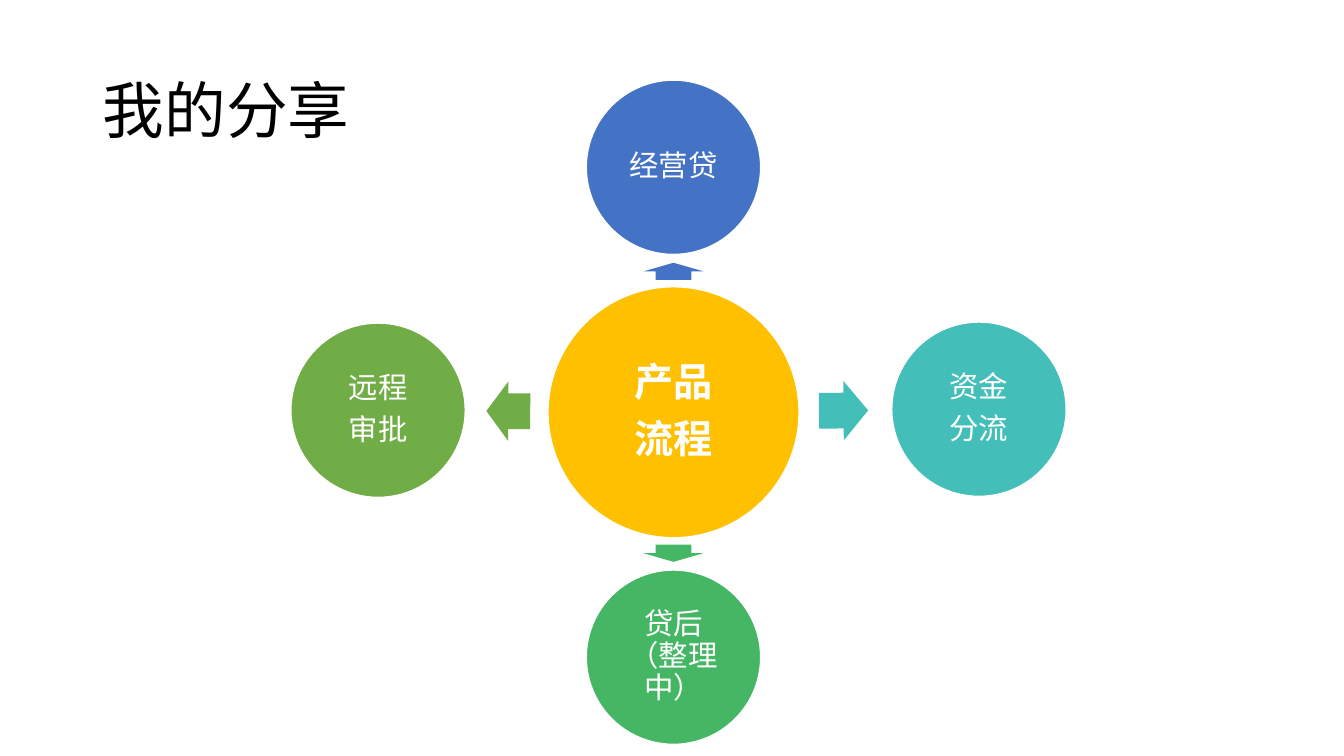
from dataclasses import dataclass
from math import atan2, cos, degrees, hypot, sin

from lxml.etree import SubElement
from pptx import Presentation
from pptx.dml.color import RGBColor
from pptx.enum.shapes import MSO_SHAPE
from pptx.enum.text import MSO_ANCHOR, MSO_AUTO_SIZE, PP_ALIGN
from pptx.oxml.ns import qn
from pptx.util import Inches, Pt


@dataclass(frozen=True)
class Theme:
    """Fonts, colours and type sizes of the slide."""
    font: str = "Noto Sans CJK SC"
    ink: str = "000000"
    paper: str = "FFFFFF"
    hub: str = "FFC000"
    up: str = "4472C4"
    right: str = "43BEB9"
    down: str = "45B664"
    left: str = "70AD47"
    title_size: int = 44
    hub_size: int = 28
    node_size: int = 21


class Deck:
    """Holds the theme and the current slide, and draws its elements."""

    def __init__(self, slide, theme):
        """Keep the slide and the theme."""
        self.slide, self.theme = slide, theme

    def apply(self, obj, values):
        """Set attributes from a dict of format values."""
        for name, value in values.items():
            setattr(obj, name, value)

    def fill_text(self, tf, lines, size, color, align, bold=False, inset=0.03, after=0):
        """Add one formatted paragraph for each line."""
        margins = dict.fromkeys(
            ("margin_left", "margin_right", "margin_top", "margin_bottom"), Inches(inset))
        self.apply(tf, {"word_wrap": True, "auto_size": MSO_AUTO_SIZE.NONE,
                        "vertical_anchor": MSO_ANCHOR.MIDDLE, **margins})
        for i, line in enumerate(lines):
            p = tf.paragraphs[0] if i == 0 else tf.add_paragraph()
            self.apply(p, {"alignment": align, "line_spacing": 0.9,
                           "space_before": Pt(0), "space_after": Pt(after)})
            r = p.add_run()
            r.text = line
            self.apply(r.font, {"name": self.theme.font, "size": Pt(size), "bold": bold})
            r.font.color.rgb = RGBColor.from_string(color)
            SubElement(r.font._element, qn("a:ea")).set("typeface", self.theme.font)

    def title(self, text, x, y, w, h):
        """Place and fill the title placeholder."""
        sp = self.slide.shapes.title
        self.apply(sp, {"left": Inches(x), "top": Inches(y),
                        "width": Inches(w), "height": Inches(h)})
        self.fill_text(sp.text_frame, [text], self.theme.title_size, self.theme.ink,
                       PP_ALIGN.LEFT, inset=0.1)

    def shape(self, kind, cx, cy, w, h, color):
        """Add a filled preset shape around a centre point."""
        sp = self.slide.shapes.add_shape(
            kind, Inches(cx - w / 2), Inches(cy - h / 2), Inches(w), Inches(h))
        sp.shadow.inherit = False
        sp.fill.solid()
        sp.fill.fore_color.rgb = RGBColor.from_string(color)
        sp.line.fill.background()
        return sp

    def circle(self, lines, cx, cy, size, color, type_size, bold=False):
        """Add a circle with a white outline and centred text."""
        sp = self.shape(MSO_SHAPE.OVAL, cx, cy, size, size, color)
        sp.line.color.rgb = RGBColor.from_string(self.theme.paper)
        sp.line.width = Pt(1)
        self.fill_text(sp.text_frame, lines, type_size, self.theme.paper,
                       PP_ALIGN.CENTER, bold, after=round(type_size * 0.35))

    def arrow(self, cx, cy, length, angle, color):
        """Add a block arrow turned to an angle in degrees."""
        sp = self.shape(MSO_SHAPE.RIGHT_ARROW, cx, cy, length, 0.59, color)
        sp.adjustments[0], sp.adjustments[1] = 0.6, 0.5
        sp.rotation = angle % 360


HUB_X, HUB_Y, HUB_SIZE = 6.68, 4.09, 2.49
NODE_SIZE = 1.73


def main():
    """Build the slide with a hub and four radial nodes."""
    prs = Presentation()
    prs.slide_width, prs.slide_height = Inches(13.33), Inches(7.5)
    theme = Theme()
    deck = Deck(prs.slides.add_slide(prs.slide_layouts[5]), theme)
    deck.title("我的分享", 0.92, 0.4, 11.5, 1.45)
    deck.circle(["产品", "流程"], HUB_X, HUB_Y, HUB_SIZE, theme.hub, theme.hub_size, True)
    nodes = [
        (["经营贷"], 6.68, 1.66, theme.up),
        (["资金", "分流"], 9.71, 4.06, theme.right),
        (["贷后（整理中）"], 6.68, 6.52, theme.down),
        (["远程", "审批"], 3.75, 4.07, theme.left),
    ]
    for lines, cx, cy, color in nodes:
        dx, dy = cx - HUB_X, cy - HUB_Y
        angle = atan2(dy, dx)
        gap = hypot(dx, dy) - (HUB_SIZE + NODE_SIZE) / 2
        reach = HUB_SIZE / 2 + gap * 0.48
        deck.arrow(HUB_X + reach * cos(angle), HUB_Y + reach * sin(angle),
                   gap * 0.53, degrees(angle), color)
        deck.circle(lines, cx, cy, NODE_SIZE, color, theme.node_size)
    prs.save("out.pptx")


main()
